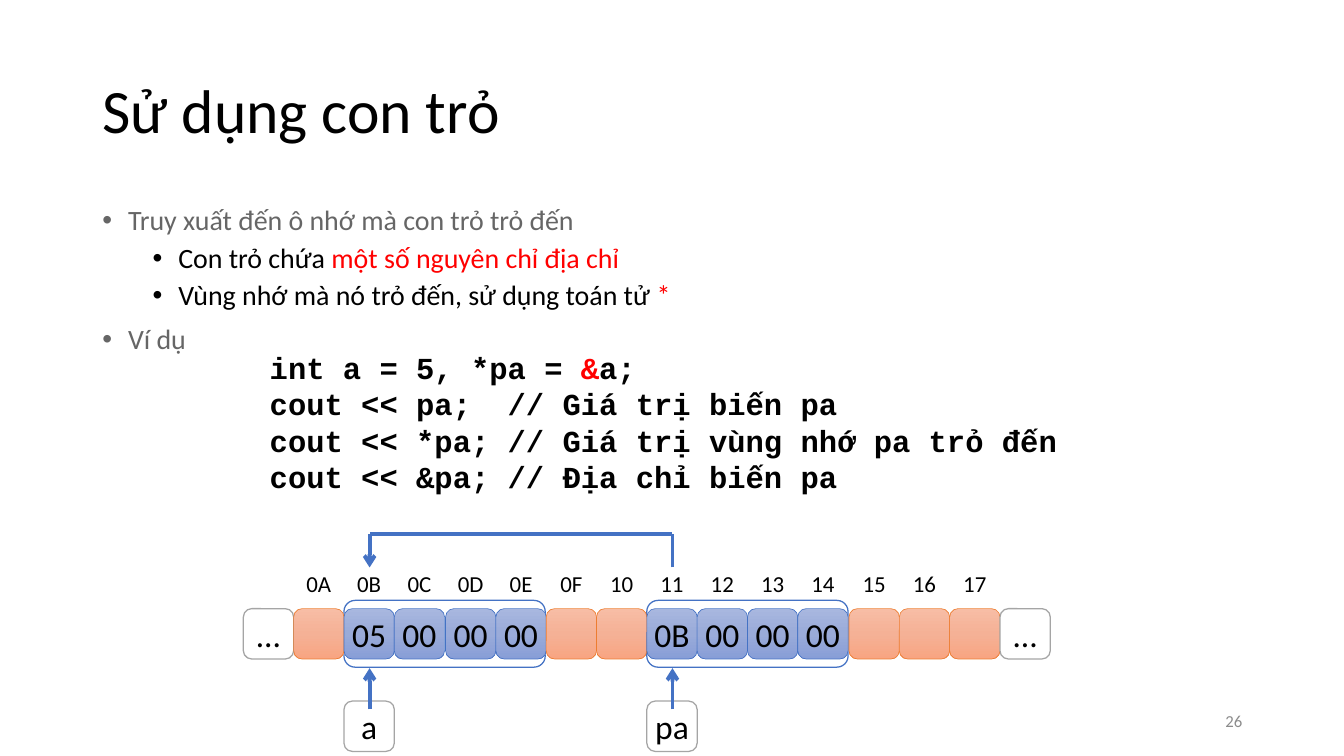
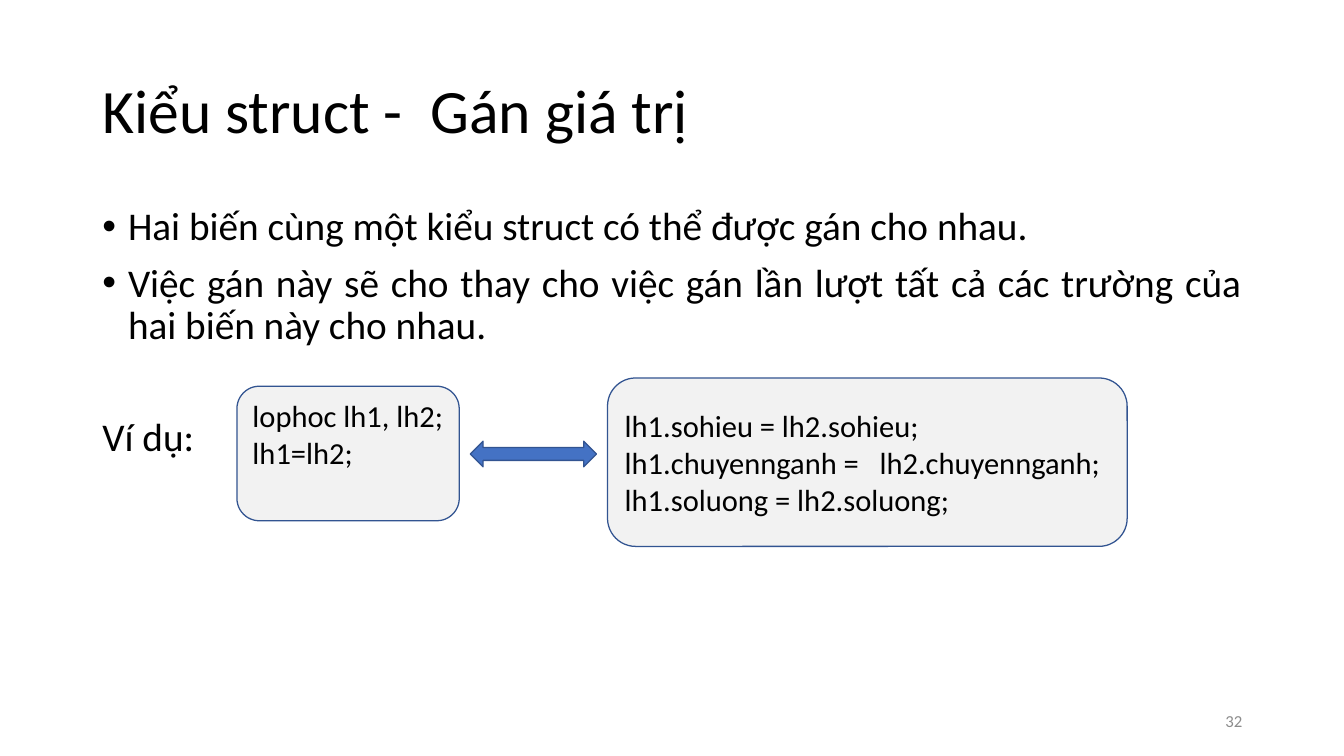
from copy import deepcopy

from lxml import etree
from pptx import Presentation
from pptx.dml.color import RGBColor
from pptx.enum.shapes import MSO_CONNECTOR, MSO_SHAPE
from pptx.enum.text import MSO_ANCHOR, MSO_AUTO_SIZE, PP_ALIGN
from pptx.oxml.ns import qn
from pptx.util import Emu, Pt

ROUNDED, DOUBLE_ARROW = MSO_SHAPE.ROUNDED_RECTANGLE, MSO_SHAPE.LEFT_RIGHT_ARROW
STRAIGHT = MSO_CONNECTOR.STRAIGHT
TOP, MIDDLE = MSO_ANCHOR.TOP, MSO_ANCHOR.MIDDLE
LEFT, CENTER, RIGHT, JUSTIFY = PP_ALIGN.LEFT, PP_ALIGN.CENTER, PP_ALIGN.RIGHT, PP_ALIGN.JUSTIFY
NO_AUTOFIT = MSO_AUTO_SIZE.NONE

SCALE = 9144  # EMU in one px, 100 px to the inch
TITLE_ONLY = 5
COLORS = {
    "black": "000000", "white": "FFFFFF", "red": "FF0000", "gray": "666666",
    "number": "8C8C8C", "silver": "A5A5A5", "panel": "F2F2F2",
    "blue": "4472C4", "navy": "325491", "orange": "ED7D31",
}
GRADIENTS = {
    "orange": ("F7BDA5", "F5B196", "F8A582"),
    "blue": ("A8B7DF", "9AABD9", "889ED7"),
}
BODY_BOX = (101, 220, 1267, 524)
WIDE_INSETS = (11, 6)
BULLET = {"left": 28, "hanging": 28, "bullet": True, "space_before": Pt(11), "line_spacing": 0.9}
SUB_BULLET = {**BULLET, "left": 83, "level": 1, "space_before": Pt(5.5)}


def px(length):
    return Emu(length * SCALE)


def rgb(name):
    return RGBColor.from_string(COLORS.get(name, name))


class Deck:
    """Holds the shared style and the slide being drawn."""

    def __init__(self):
        self.presentation = Presentation()
        self.presentation.slide_width = px(1469)
        self.presentation.slide_height = px(826)
        self.slide = None

    def add_slide(self, title, number):
        layout = self.presentation.slide_layouts[TITLE_ONLY]
        self.slide = self.presentation.slides.add_slide(layout)
        shape = self.slide.shapes.title
        places = {"left": 101, "top": 44, "width": 1267, "height": 160}
        for name, length in places.items():
            setattr(shape, name, px(length))
        self.set_text(shape, [(title, {"line_spacing": 0.9})], 48.5,
                      anchor=MIDDLE, insets=WIDE_INSETS)
        self.text((1038, 766, 331, 44), [number], 13.2, color="number",
                  align=RIGHT, anchor=MIDDLE, insets=WIDE_INSETS)

    def set_text(self, shape, lines, size, color="black", font="Calibri", bold=False,
                 align=LEFT, anchor=TOP, insets=(10, 5)):
        """A line is text, a list of (text, colour) runs, or (either, format)."""
        frame = shape.text_frame
        side, end = map(px, insets)
        frame_format = {
            "word_wrap": True, "auto_size": NO_AUTOFIT, "vertical_anchor": anchor,
            "margin_left": side, "margin_right": side,
            "margin_top": end, "margin_bottom": end,
        }
        for name, value in frame_format.items():
            setattr(frame, name, value)
        for index, line in enumerate(lines):
            content, extra = line if isinstance(line, tuple) else (line, {})
            paragraph = frame.paragraphs[0] if index == 0 else frame.add_paragraph()
            self.format_paragraph(paragraph, {"alignment": align, **extra})
            runs = [(content, color)] if isinstance(content, str) else content
            for text, run_color in runs:
                run = paragraph.add_run()
                run.text = text
                run_format = {"name": font, "size": Pt(size), "bold": bold}
                for name, value in run_format.items():
                    setattr(run.font, name, value)
                run.font.color.rgb = rgb(run_color)

    def format_paragraph(self, paragraph, values):
        values = dict(values)
        left, hanging = values.pop("left", 0), values.pop("hanging", 0)
        bullet = values.pop("bullet", False)
        for name, value in values.items():
            setattr(paragraph, name, value)
        properties = paragraph._p.get_or_add_pPr()
        properties.set("marL", str(px(left)))
        properties.set("indent", str(px(-hanging)))
        if bullet:
            etree.SubElement(properties, qn("a:buFont"), typeface="Arial")
            etree.SubElement(properties, qn("a:buChar"), char="•")

    def text(self, box, lines, size, **style):
        shape = self.slide.shapes.add_textbox(*map(px, box))
        self.set_text(shape, lines, size, **style)

    def shape(self, kind, box, line, fill=None, gradient=None, weight=1.0):
        shape = self.slide.shapes.add_shape(kind, *map(px, box))
        shape.shadow.inherit = False
        shape.line.color.rgb = rgb(line)
        shape.line.width = Pt(weight)
        if gradient:
            self.fill_gradient(shape, GRADIENTS[gradient])
        elif fill:
            shape.fill.solid()
            shape.fill.fore_color.rgb = rgb(fill)
        else:
            shape.fill.background()
        return shape

    def fill_gradient(self, shape, colors):
        shape.fill.gradient()
        shape.fill.gradient_angle = 270  # top to bottom
        stop_list = shape._element.spPr.find(".//" + qn("a:gsLst"))
        stop_list.insert(1, deepcopy(stop_list[0]))
        for index, (stop, color) in enumerate(zip(shape.fill.gradient_stops, colors)):
            stop.position = index / 2
            stop.color.rgb = rgb(color)

    def cell(self, left, top, text="", line="silver", **fill):
        shape = self.shape(ROUNDED, (left, top, 55, 55), line, **fill)
        if text:
            self.set_text(shape, [text], 26.4, align=CENTER, anchor=MIDDLE, insets=(0, 0))

    def line(self, start, end, arrow=False):
        connector = self.slide.shapes.add_connector(STRAIGHT, *map(px, start + end))
        connector.line.color.rgb = rgb("blue")
        connector.line.width = Pt(3)
        if arrow:
            etree.SubElement(connector.line._get_or_add_ln(), qn("a:tailEnd"), type="arrow")
        etree.SubElement(connector._element.spPr, qn("a:effectLst"))

    def code_panel(self, box, lines, anchor):
        shape = self.shape(ROUNDED, box, "navy", fill="panel")
        self.set_text(shape, lines, 24, anchor=anchor)


def cell_left(index):
    return 266 + round(index * 827 / 15)


def draw_memory(deck):
    """A row of 16 cells; the variables a and pa take four bytes each."""
    row_top, last = 665, 15
    variables = {"a": (2, ["05", "00", "00", "00"]), "pa": (8, ["0B", "00", "00", "00"])}
    values = {first + offset: value for first, group in variables.values()
              for offset, value in enumerate(group)}

    # Frames, names and name arrows of the variables
    centers = {}
    for name, (first, group) in variables.items():
        left = cell_left(first)
        centers[name] = left + 28
        deck.shape(ROUNDED, (left, 656, 220, 73), "blue")
        deck.cell(left, 766, name, fill="white")
        deck.line((centers[name], 775), (centers[name], 730), arrow=True)

    # Cells with their addresses
    for index in range(last + 1):
        left = cell_left(index)
        if index in (0, last):
            deck.cell(left, row_top, "…", fill="white")
            continue
        tone = "blue" if index in values else "orange"
        deck.cell(left, row_top, values.get(index, ""), line=tone, gradient=tone, weight=0.5)
        deck.text((left, row_top - 55, 55, 55), [f"{index + 9:02X}"], 18,
                  align=CENTER, anchor=MIDDLE, insets=(0, 0))

    # Path from the pointer to its target
    source, target, high, low = centers["pa"], centers["a"], 583, 620
    deck.line((source, low), (source, high))
    deck.line((source, high), (target, high))
    deck.line((target, high), (target, low), arrow=True)


def pointer_slide(deck):
    deck.add_slide("Sử dụng con trỏ", "26")
    deck.text(BODY_BOX, [
        ([("Truy xuất đến ô nhớ mà con trỏ trỏ đến", "gray")], BULLET),
        ([("Con trỏ chứa ", "black"), ("một số nguyên chỉ địa chỉ", "red")], SUB_BULLET),
        ([("Vùng nhớ mà nó trỏ đến, sử dụng toán tử ", "black"), ("*", "red")], SUB_BULLET),
        ([("Ví dụ", "gray")], BULLET),
    ], 22, insets=WIDE_INSETS)
    deck.text((285, 376, 890, 172), [
        [("int a = 5, *pa = ", "black"), ("&", "red"), ("a;", "black")],
        "cout << pa;  // Giá trị biến pa",
        "cout << *pa; // Giá trị vùng nhớ pa trỏ đến",
        "cout << &pa; // Địa chỉ biến pa",
    ], 24, font="Courier New", bold=True)
    draw_memory(deck)


def struct_slide(deck):
    deck.add_slide("Kiểu struct -  Gán giá trị", "32")
    example = {**BULLET, "bullet": False, "space_before": Pt(55)}
    deck.text(BODY_BOX, [
        ("Hai biến cùng một kiểu struct có thể được gán cho nhau.", BULLET),
        ("Việc gán này sẽ cho thay cho việc gán lần lượt tất cả các trường của "
         "hai biến này cho nhau.", BULLET),
        ("Ví dụ:", example),
    ], 30.9, align=JUSTIFY, insets=WIDE_INSETS)

    # One assignment equals three field assignments
    deck.code_panel((664, 413, 568, 184), [
        "lh1.sohieu = lh2.sohieu;",
        "lh1.chuyennganh =   lh2.chuyennganh;",
        "lh1.soluong = lh2.soluong;",
    ], MIDDLE)
    deck.shape(DOUBLE_ARROW, (514, 482, 138, 28), "navy", fill="blue")
    deck.code_panel((259, 422, 243, 147), ["lophoc lh1, lh2;", "lh1=lh2;"], TOP)


def main():
    deck = Deck()
    pointer_slide(deck)
    struct_slide(deck)
    deck.presentation.save("out.pptx")


if __name__ == "__main__":
    main()
